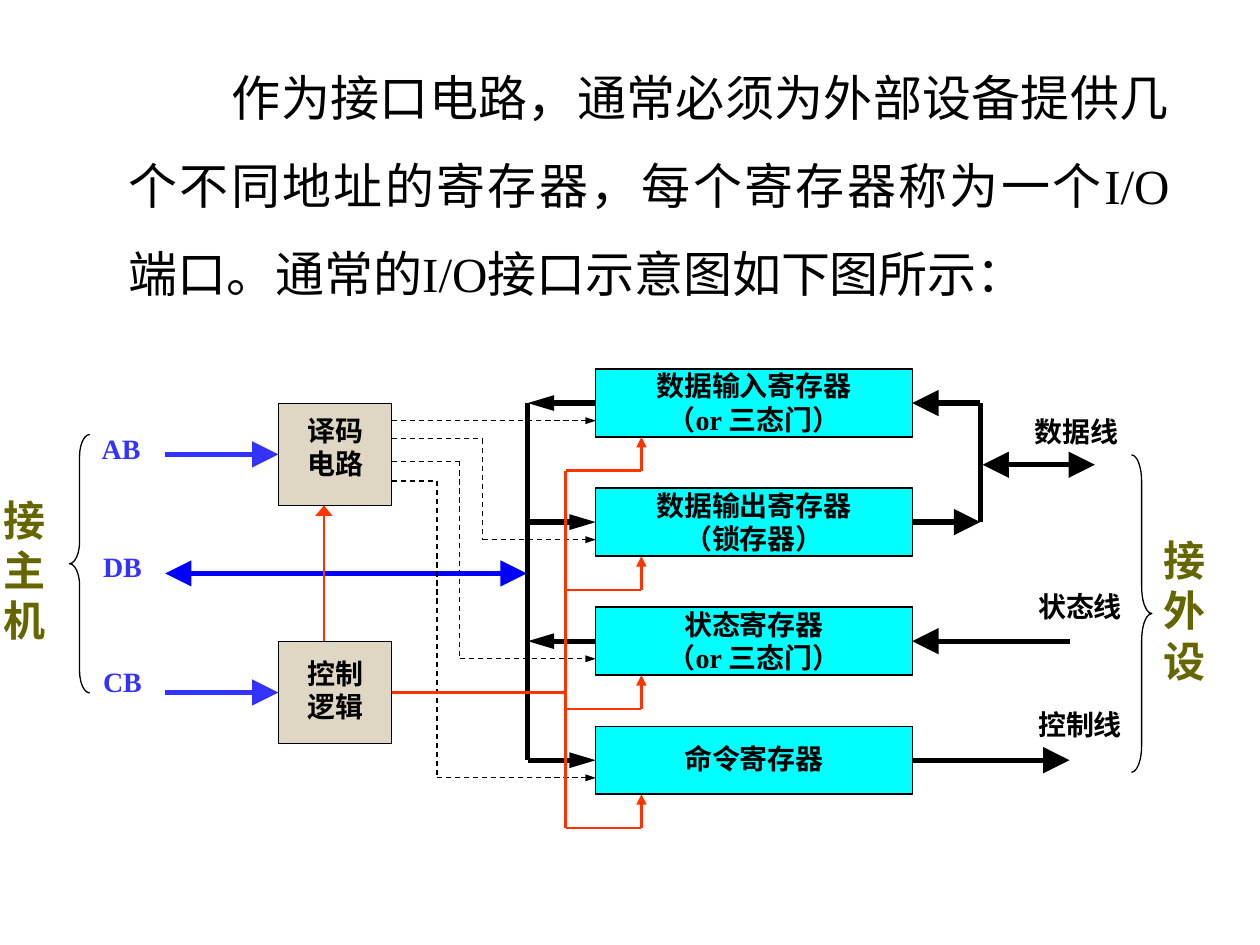
from itertools import pairwise

from lxml import etree
from pptx import Presentation
from pptx.dml.color import RGBColor
from pptx.enum.dml import MSO_LINE
from pptx.enum.shapes import MSO_CONNECTOR, MSO_SHAPE
from pptx.enum.text import MSO_ANCHOR, MSO_AUTO_SIZE, PP_ALIGN
from pptx.oxml.ns import qn
from pptx.util import Cm, Pt

RECT, LEFT_BRACE, RIGHT_BRACE = (
    MSO_SHAPE.RECTANGLE, MSO_SHAPE.LEFT_BRACE, MSO_SHAPE.RIGHT_BRACE)
STRAIGHT = MSO_CONNECTOR.STRAIGHT
DASH = MSO_LINE.DASH
TOP = MSO_ANCHOR.TOP
GROW = MSO_AUTO_SIZE.SHAPE_TO_FIT_TEXT
CENTER, JUSTIFY = PP_ALIGN.CENTER, PP_ALIGN.JUSTIFY
TOP_SIDE, LEFT_SIDE, RIGHT_SIDE = 0, 1, 3

BLACK = RGBColor(0x00, 0x00, 0x00)
CYAN = RGBColor(0x00, 0xFF, 0xFF)
SAND = RGBColor(0xDF, 0xD6, 0xC3)
BLUE = RGBColor(0x00, 0x00, 0xFF)
SOFT_BLUE = RGBColor(0x33, 0x33, 0xFF)
RED = RGBColor(0xFF, 0x33, 0x00)
OLIVE = RGBColor(0x66, 0x66, 0x00)

SERIF, SANS, HAN = "Times New Roman", "Arial", "Noto Sans CJK SC"
LABEL = {"name": SERIF, "size": Pt(16), "bold": True}
SIDE = {"name": SANS, "size": Pt(24), "bold": True}
INTRO = {"size": Pt(28), "bold": False}

# Line styles: colour, width, dash, arrow width, arrow length
DATA = (BLACK, 3, None, "lg", "lg")
INNER = (BLACK, 3, None, "med", "lg")
BUS = (BLUE, 3, None, "lg", "lg")
INPUT = (SOFT_BLUE, 3, None, "lg", "lg")
SELECT = (BLACK, 0.75, DASH, "sm", "med")
CONTROL = (RED, 1.5, None, "med", "med")
ENABLE = (RED, 1.5, None, "lg", "med")

# Diagram grid in centimetres
REG_X, REG_Y, REG_W, REG_H, REG_STEP = 12.01, 7.44, 6.38, 1.37, 2.4
UNIT_X, UNIT_W, UNIT_H = 5.61, 2.29, 2.06
UNIT_END = UNIT_X + UNIT_W
BUS_X, RED_X, DATA_X, HOST_X = 10.64, 11.4, 19.76, 3.33
REGS = ["数据输入寄存器\n（or 三态门）", "数据输出寄存器\n（锁存器）",
        "状态寄存器\n（or 三态门）", "命令寄存器"]
LABELS = [
    ("数据线", 20.6, 8.36, BLACK), ("状态线", 20.68, 11.89, BLACK),
    ("控制线", 20.68, 14.27, BLACK), ("AB", 1.8, 8.69, SOFT_BLUE),
    ("DB", 1.83, 11.07, SOFT_BLUE), ("CB", 1.83, 13.39, SOFT_BLUE),
]


def apply(target, values):
    for name, value in values.items():
        setattr(target, name, value)


def add_run(para, text, look, color):
    run = para.add_run()
    run.text = text
    apply(run.font, look)
    run.font.color.rgb = color
    etree.SubElement(run._r.get_or_add_rPr(), qn("a:ea"), typeface=HAN)


def fill_text(shape, text, look, color, align, inset=0.25, drop=0):
    frame = shape.text_frame
    apply(frame, {"word_wrap": True, "vertical_anchor": TOP,
                  "margin_left": Cm(inset), "margin_right": Cm(inset),
                  "margin_top": Cm(drop), "margin_bottom": 0})
    for i, part in enumerate(text.split("\n")):
        para = frame.add_paragraph() if i else frame.paragraphs[0]
        para.alignment = align
        add_run(para, part, look, color)
    return frame


def add_label(shapes, text, x, y, color):
    box = shapes.add_textbox(Cm(x), Cm(y), Cm(2.6), Cm(1.02))
    fill_text(box, text, LABEL, color, JUSTIFY)


def add_side(shapes, text, x, y):
    """Stack the letters in a box one letter wide."""
    box = shapes.add_textbox(Cm(x), Cm(y), Cm(0.99), Cm(3.05))
    fill_text(box, text, SIDE, OLIVE, CENTER, inset=0).auto_size = GROW


def add_box(shapes, text, x, y, w, h, color, drop=0):
    box = shapes.add_shape(RECT, Cm(x), Cm(y), Cm(w), Cm(h))
    box.shadow.inherit = False
    box.fill.solid()
    box.fill.fore_color.rgb = color
    box.line.color.rgb = BLACK
    box.line.width = Pt(0.75)
    fill_text(box, text, LABEL, BLACK, CENTER, drop=drop)
    return box


def add_brace(shapes, kind, x, y, h, curve):
    brace = shapes.add_shape(kind, Cm(x), Cm(y), Cm(0.41), Cm(h))
    brace.shadow.inherit = False
    brace.fill.background()
    brace.line.color.rgb = BLACK
    brace.line.width = Pt(0.75)
    brace.adjustments[0] = curve


def add_line(shapes, start, end, style, head=False, tail=False):
    color, width, dash, broad, deep = style
    line = shapes.add_connector(STRAIGHT, *map(Cm, start + end))
    line.line.color.rgb = color
    line.line.width = Pt(width)
    if dash:
        line.line.dash_style = dash
    ln = line.line._get_or_add_ln()
    for tag, shown in (("a:headEnd", head), ("a:tailEnd", tail)):
        if shown:
            etree.SubElement(ln, qn(tag), type="triangle", w=broad, len=deep)
    etree.SubElement(line._element.spPr, qn("a:effectLst"))
    return line


def add_route(shapes, points, style):
    """Draw a bent line with an arrow at its last point."""
    pairs = list(pairwise(points))
    for i, (start, end) in enumerate(pairs, 1):
        add_line(shapes, start, end, style, tail=i == len(pairs))


def add_intro(slide):
    slide.shapes.title.element.getparent().remove(slide.shapes.title.element)
    body = slide.placeholders[1]
    apply(body, {"left": Cm(2.34), "top": Cm(0.64),
                 "width": Cm(21.49), "height": Cm(5.59)})
    body.text_frame.auto_size = GROW
    para = body.text_frame.paragraphs[0]
    props = para._p.get_or_add_pPr()
    props.set("marL", "0")
    props.set("indent", str(Cm(2.08)))
    etree.SubElement(props, qn("a:buNone"))
    apply(para, {"alignment": JUSTIFY, "line_spacing": 1.5,
                 "space_before": Pt(0)})
    for text, font in (
            ("作为接口电路，通常必须为外部设备提供几个不同地址的寄存器，"
             "每个寄存器称为一个", HAN),
            ("I/O", SERIF), ("端口。通常的", HAN), ("I/O", SERIF),
            ("接口示意图如下图所示：", HAN)):
        add_run(para, text, INTRO | {"name": font}, BLACK)


def add_ports(shapes, regs, rows):
    """Join the registers to the inner bus and to the device lines."""
    ends = [DATA_X, DATA_X, 21.56, 21.56]
    for i, (reg, y, end) in enumerate(zip(regs, rows, ends)):
        reads = i % 2 == 0
        inner = add_line(shapes, (REG_X, y), (BUS_X, y), INNER,
                         head=not reads, tail=reads)
        inner.begin_connect(reg, LEFT_SIDE)
        outer = add_line(shapes, (REG_X + REG_W, y), (end, y), DATA,
                         head=reads, tail=not reads)
        outer.begin_connect(reg, RIGHT_SIDE)
    add_line(shapes, (BUS_X, rows[0]), (BUS_X, rows[-1]), DATA)
    add_line(shapes, (DATA_X, rows[0]), (DATA_X, rows[1]), DATA)
    add_line(shapes, (19.81, 9.37), (22.07, 9.37), DATA, True, True)


def add_selects(shapes, tops):
    add_route(shapes, [(UNIT_END, tops[0] + 1.04),
                       (REG_X, tops[0] + 1.04)], SELECT)
    for i, (start, top) in enumerate(zip((8.84, 9.3, 9.7), tops[1:])):
        turn, y = 9.73 - 0.46 * i, top + 1.04
        add_route(shapes, [(UNIT_END, start), (turn, start),
                           (turn, y), (REG_X, y)], SELECT)


def add_control(shapes, decoder, logic, tops):
    add_line(shapes, (6.53, 12.93), (6.53, 10.19), ENABLE, tail=True)
    for top in tops:
        y = top + 2.05
        add_route(shapes, [(RED_X, y), (12.93, y),
                           (12.93, top + REG_H)], CONTROL)
    add_line(shapes, (RED_X, tops[0] + 2.05), (RED_X, tops[-1] + 2.05), CONTROL)
    feed = add_line(shapes, (UNIT_END, 13.96), (RED_X, 13.96), CONTROL)
    feed.begin_connect(logic, RIGHT_SIDE)
    for unit, y in ((decoder, 9.16), (logic, 13.96)):
        line = add_line(shapes, (HOST_X, y), (UNIT_X, y), INPUT, tail=True)
        line.end_connect(unit, LEFT_SIDE)


def main():
    deck = Presentation()
    deck.slide_width, deck.slide_height = Cm(25.4), Cm(19.05)
    slide = deck.slides.add_slide(deck.slide_layouts[1])
    shapes = slide.shapes
    add_intro(slide)
    for label in LABELS:
        add_label(shapes, *label)
    tops = [REG_Y + REG_STEP * i for i in range(len(REGS))]
    rows = [top + REG_H / 2 for top in tops]
    regs = [add_box(shapes, text, REG_X, top, REG_W, REG_H, CYAN,
                    0 if "\n" in text else 0.3)
            for text, top in zip(REGS, tops)]
    add_ports(shapes, regs, rows)
    add_line(shapes, (HOST_X, 11.56), (10.62, 11.56), BUS, True, True)
    decoder, logic = (
        add_box(shapes, text, UNIT_X, y, UNIT_W, UNIT_H, SAND, drop)
        for text, y, drop in (("译码\n电路", 8.13, 0.2),
                              ("控制\n逻辑", 12.93, 0.3)))
    add_selects(shapes, tops)
    add_control(shapes, decoder, logic, tops)
    add_brace(shapes, RIGHT_BRACE, 22.81, 9.17, 6.4, 1.33)
    add_side(shapes, "接外设", 23.39, 10.77)
    add_brace(shapes, LEFT_BRACE, 1.4, 8.76, 5.21, 1.09)
    add_side(shapes, "接主机", 0, 9.96)
    deck.save("out.pptx")


if __name__ == "__main__":
    main()
